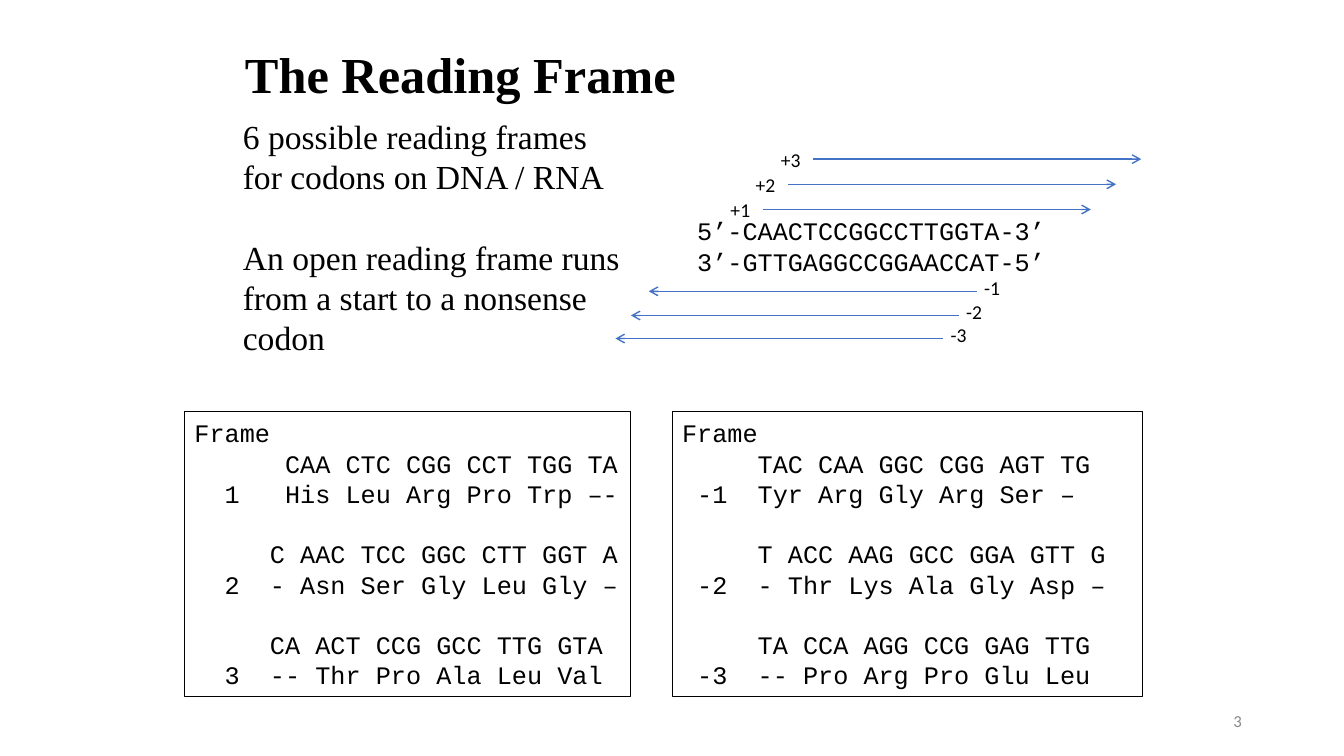
from lxml.etree import SubElement
from pptx import Presentation
from pptx.dml.color import RGBColor
from pptx.enum.shapes import MSO_CONNECTOR as Connector, MSO_SHAPE as Shape
from pptx.enum.text import MSO_ANCHOR as Anchor, MSO_AUTO_SIZE as AutoSize, PP_ALIGN as Align
from pptx.oxml.ns import qn
from pptx.util import Cm, Pt

COLORS = {"text": "000000", "paper": "FFFFFF", "arrow": "4472C4", "number": "898989"}
SERIF, MONO, SANS = "Times New Roman", "Courier New", "Calibri"
CHAR = 0.381  # width of one 18 pt monospaced character, in cm

PLUS_FRAMES = [  # label, codon column, codons, residues
    ("1", 6, "CAA CTC CGG CCT TGG TA", "His Leu Arg Pro Trp –-"),
    ("2", 5, "C AAC TCC GGC CTT GGT A", "- Asn Ser Gly Leu Gly –"),
    ("3", 5, "CA ACT CCG GCC TTG GTA", "-- Thr Pro Ala Leu Val"),
]
MINUS_FRAMES = [
    ("-1", 5, "TAC CAA GGC CGG AGT TG", "Tyr Arg Gly Arg Ser –"),
    ("-2", 5, "T ACC AAG GCC GGA GTT G", "- Thr Lys Ala Gly Asp –"),
    ("-3", 5, "TA CCA AGG CCG GAG TTG", "-- Pro Arg Pro Glu Leu"),
]


def rgb(name):
    return RGBColor.from_string(COLORS[name])


def style(para, font, size, color="text", align=Align.LEFT):
    para.alignment = align
    para.font.name, para.font.size = font, Pt(size)
    para.font.color.rgb = rgb(color)


def add_text(shapes, box, lines, font, size, color="text", align=Align.LEFT,
             wrap=True, anchor=Anchor.TOP, gap=0):
    frame = shapes.add_textbox(*map(Cm, box)).text_frame
    frame.word_wrap, frame.vertical_anchor = wrap, anchor
    frame.text = "\n".join(lines)
    for index, para in enumerate(frame.paragraphs):
        style(para, font, size, color, align)
        if index and gap:
            para.space_before = Pt(gap)


def add_arrow(shapes, x, y, length):
    line = shapes.add_connector(Connector.STRAIGHT, Cm(x), Cm(y), Cm(x + length), Cm(y))
    line.line.color.rgb, line.line.width = rgb("arrow"), Pt(1)
    SubElement(line.line._get_or_add_ln(), qn("a:tailEnd"), type="arrow")
    SubElement(line._element.spPr, qn("a:effectLst"))


def add_title(page, box, text):
    title = page.shapes.title
    title.left, title.top, title.width, title.height = map(Cm, box)
    frame = title.text_frame
    frame.text = text
    frame.auto_size, frame.vertical_anchor = AutoSize.NONE, Anchor.MIDDLE
    para = frame.paragraphs[0]
    style(para, SERIF, 36)
    para.font.bold, para.line_spacing = True, 0.9


def add_strand_diagram(page, box):
    left, top, _, _ = box
    shapes = page.shapes.add_group_shape().shapes
    length, step = 8.26, 0.635
    add_text(shapes, (left + 1.8, top + 1.7, 9.32, 1.8),
             ["5’-CAACTCCGGCCTTGGTA-3’", "3’-GTTGAGGCCGGAACCAT-5’"], MONO, 18, wrap=False)
    # Forward frames climb to the right
    for index in range(3):
        x, y = left + 3.71 + index * step, top + 1.67 - index * step
        add_arrow(shapes, x, y, length)
        add_text(shapes, (x - 1.07, y - 0.41, 1.09, 0.86), [f"+{index + 1}"],
                 SANS, 14, wrap=False)
    # Reverse frames step down to the left
    for index, (dx, dy) in enumerate([(9.09, 3.73), (8.64, 4.34), (8.25, 4.92)]):
        x, y = left + dx, top + dy
        add_arrow(shapes, x, y, -length)
        add_text(shapes, (x - 0.06, y - 0.51, 0.97, 0.86), [f"-{index + 1}"],
                 SANS, 14, wrap=False)


def add_frame_panel(page, box, label_column, frames):
    panel = page.shapes.add_shape(Shape.RECTANGLE, *map(Cm, box))
    panel.shadow.inherit = False
    panel.fill.solid()
    panel.fill.fore_color.rgb = rgb("paper")
    panel.line.color.rgb, panel.line.width = rgb("text"), Pt(0.75)
    text = panel.text_frame
    text.word_wrap, text.vertical_anchor = True, Anchor.MIDDLE
    text.text = "Frame"
    style(text.paragraphs[0], MONO, 18)
    for index, (label, column, codons, residues) in enumerate(frames):
        # Codons are indented to their column
        para = text.add_paragraph()
        para.text = codons
        para._p.get_or_add_pPr().set("marL", str(Cm(column * CHAR)))
        style(para, MONO, 18)
        if index:
            para.space_before = Pt(21.6)
        # Label and residues sit on tab stops
        para = text.add_paragraph()
        para.text = f"\t{label}\t{residues}"
        stops = SubElement(para._p.get_or_add_pPr(), qn("a:tabLst"))
        for stop in (label_column, column):
            SubElement(stops, qn("a:tab"), pos=str(Cm(stop * CHAR)), algn="l")
        style(para, MONO, 18)


def main():
    deck = Presentation()
    deck.slide_width, deck.slide_height = Cm(33.87), Cm(19.05)
    page = deck.slides.add_slide(deck.slide_layouts[5])
    add_title(page, (5.92, 1.12, 21.59, 1.65), "The Reading Frame")
    add_text(page.shapes, (5.87, 2.79, 10.16, 6.4),
             ["6 possible reading frames for codons on DNA / RNA",
              "An open reading frame runs from a start to a nonsense codon"],
             SERIF, 24, gap=28.8)
    add_strand_diagram(page, (15.52, 3.61, 13.23, 5.3))
    add_frame_panel(page, (4.65, 10.36, 11.23, 7.19), 2, PLUS_FRAMES)
    add_frame_panel(page, (16.94, 10.36, 11.86, 7.19), 1, MINUS_FRAMES)
    add_text(page.shapes, (23.93, 17.65, 7.62, 1.02), ["3"], SANS, 12, "number",
             Align.RIGHT, anchor=Anchor.MIDDLE)
    deck.save("out.pptx")


if __name__ == "__main__":
    main()
